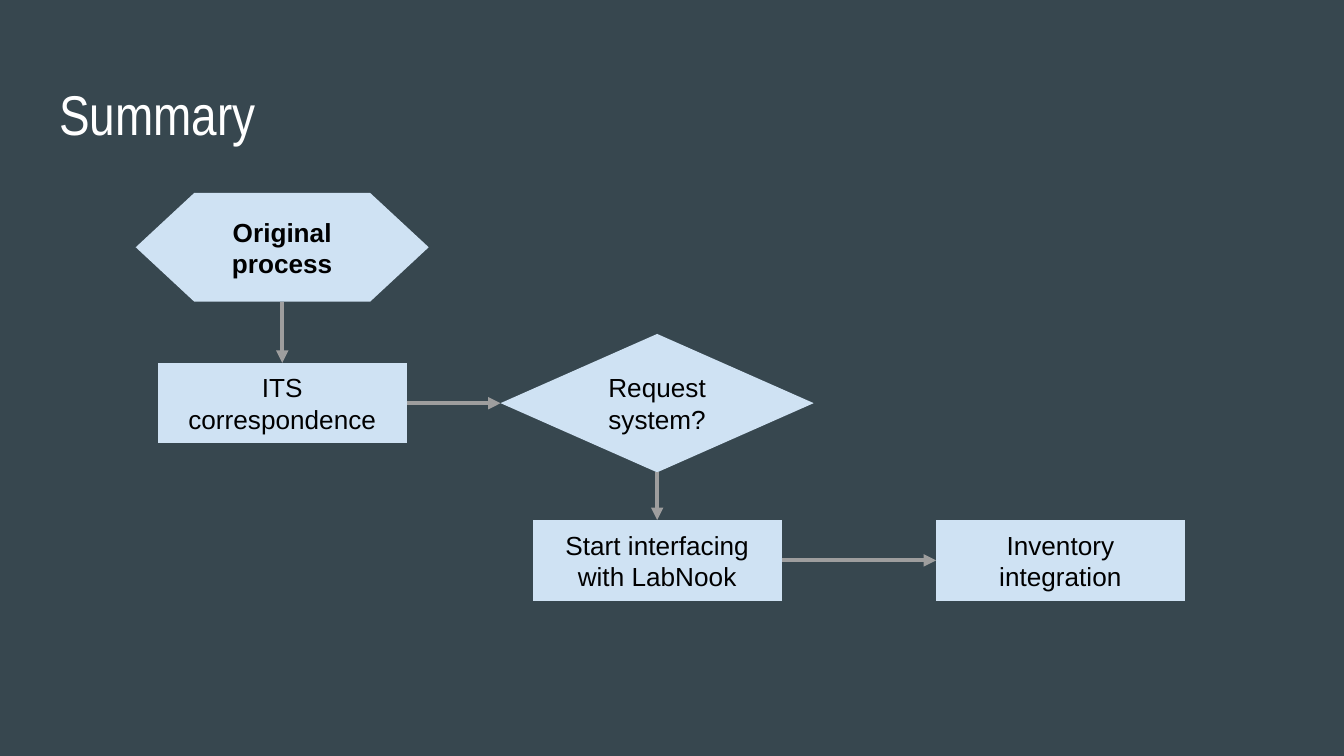
from lxml import etree
from pptx import Presentation
from pptx.dml.color import RGBColor
from pptx.enum.shapes import MSO_CONNECTOR, MSO_SHAPE
from pptx.enum.text import MSO_ANCHOR, MSO_AUTO_SIZE, PP_ALIGN
from pptx.oxml.ns import qn
from pptx.util import Inches, Pt

PROCESS = MSO_SHAPE.FLOWCHART_PROCESS
PREPARATION = MSO_SHAPE.FLOWCHART_PREPARATION
DECISION = MSO_SHAPE.FLOWCHART_DECISION
STRAIGHT = MSO_CONNECTOR.STRAIGHT
TOP, MIDDLE = MSO_ANCHOR.TOP, MSO_ANCHOR.MIDDLE
LEFT, CENTER = PP_ALIGN.LEFT, PP_ALIGN.CENTER
NO_AUTOFIT = MSO_AUTO_SIZE.NONE
TOP_SITE, LEFT_SITE, BOTTOM_SITE, RIGHT_SITE = range(4)

SLIDE_WIDTH = 10
SLIDE_HEIGHT = SLIDE_WIDTH * 9 / 16
BACKGROUND, FILL, ARROW, WHITE, BLACK = "37474F", "CFE2F3", "9E9E9E", "FFFFFF", "000000"

TITLE = "Summary"
SIZES = {PREPARATION: (2.18, 0.81), PROCESS: (1.85, 0.6), DECISION: (2.33, 1.03)}
COLUMN_CENTERS = (2.1, 4.89, 7.89)
ROW_CENTERS = (1.84, 3, 4.17)
STEPS = {
    "start": ("Original process", PREPARATION, 0, 0, True),
    "correspondence": ("ITS correspondence", PROCESS, 0, 1, False),
    "request": ("Request system?", DECISION, 1, 1, False),
    "interfacing": ("Start interfacing with LabNook", PROCESS, 1, 2, False),
    "inventory": ("Inventory integration", PROCESS, 2, 2, False),
}
DOWN, ACROSS = (BOTTOM_SITE, TOP_SITE), (RIGHT_SITE, LEFT_SITE)
ARROWS = [
    ("start", "correspondence", DOWN),
    ("correspondence", "request", ACROSS),
    ("request", "interfacing", DOWN),
    ("interfacing", "inventory", ACROSS),
]


def color(value):
    """Turn a hex string into a colour."""
    return RGBColor.from_string(value)


def apply(target, values):
    """Set each attribute named in a dict."""
    for name, value in values.items():
        setattr(target, name, value)


def write(shape, text, anchor, alignment, font_color, font):
    """Put one formatted paragraph in a shape."""
    frame = shape.text_frame
    frame.text = text
    margins = {f"margin_{side}": Inches(0.1) for side in ("left", "top", "right", "bottom")}
    apply(frame, {"word_wrap": True, "auto_size": NO_AUTOFIT, "vertical_anchor": anchor, **margins})
    paragraph = frame.paragraphs[0]
    paragraph.alignment = alignment
    run_font = paragraph.runs[0].font
    apply(run_font, font)
    run_font.color.rgb = color(font_color)


def add_title(slide):
    """Place and format the title placeholder."""
    title = slide.shapes.title
    apply(title, {"left": Inches(0.34), "top": Inches(0.49),
                  "width": Inches(9.32), "height": Inches(0.63)})
    write(title, TITLE, TOP, LEFT, WHITE, {"name": "Arial Narrow", "size": Pt(30)})


def add_step(slide, text, kind, column, row, bold):
    """Add a flowchart step centred on its grid position."""
    width, height = SIZES[kind]
    left = COLUMN_CENTERS[column] - width / 2
    top = ROW_CENTERS[row] - height / 2
    shape = slide.shapes.add_shape(kind, Inches(left), Inches(top), Inches(width), Inches(height))
    shape.shadow.inherit = False
    shape.fill.solid()
    shape.fill.fore_color.rgb = color(FILL)
    shape.line.fill.background()
    write(shape, text, MIDDLE, CENTER, BLACK, {"name": "Arial", "size": Pt(14), "bold": bold})
    return shape


def add_arrow(slide, source, target, sites):
    """Join two steps with an arrow."""
    connector = slide.shapes.add_connector(STRAIGHT, 0, 0, 0, 0)
    connector.begin_connect(source, sites[0])
    connector.end_connect(target, sites[1])
    connector.line.color.rgb = color(ARROW)
    connector.line.width = Pt(2.25)
    etree.SubElement(connector.line._get_or_add_ln(), qn("a:tailEnd"), type="triangle")
    etree.SubElement(connector._element.spPr, qn("a:effectLst"))


def main():
    """Build and save the slide."""
    presentation = Presentation()
    apply(presentation, {"slide_width": Inches(SLIDE_WIDTH), "slide_height": Inches(SLIDE_HEIGHT)})
    slide = presentation.slides.add_slide(presentation.slide_layouts[5])
    slide.background.fill.solid()
    slide.background.fill.fore_color.rgb = color(BACKGROUND)
    add_title(slide)
    shapes = {name: add_step(slide, *step) for name, step in STEPS.items()}
    for source, target, sites in ARROWS:
        add_arrow(slide, shapes[source], shapes[target], sites)
    presentation.save("out.pptx")


if __name__ == "__main__":
    main()
